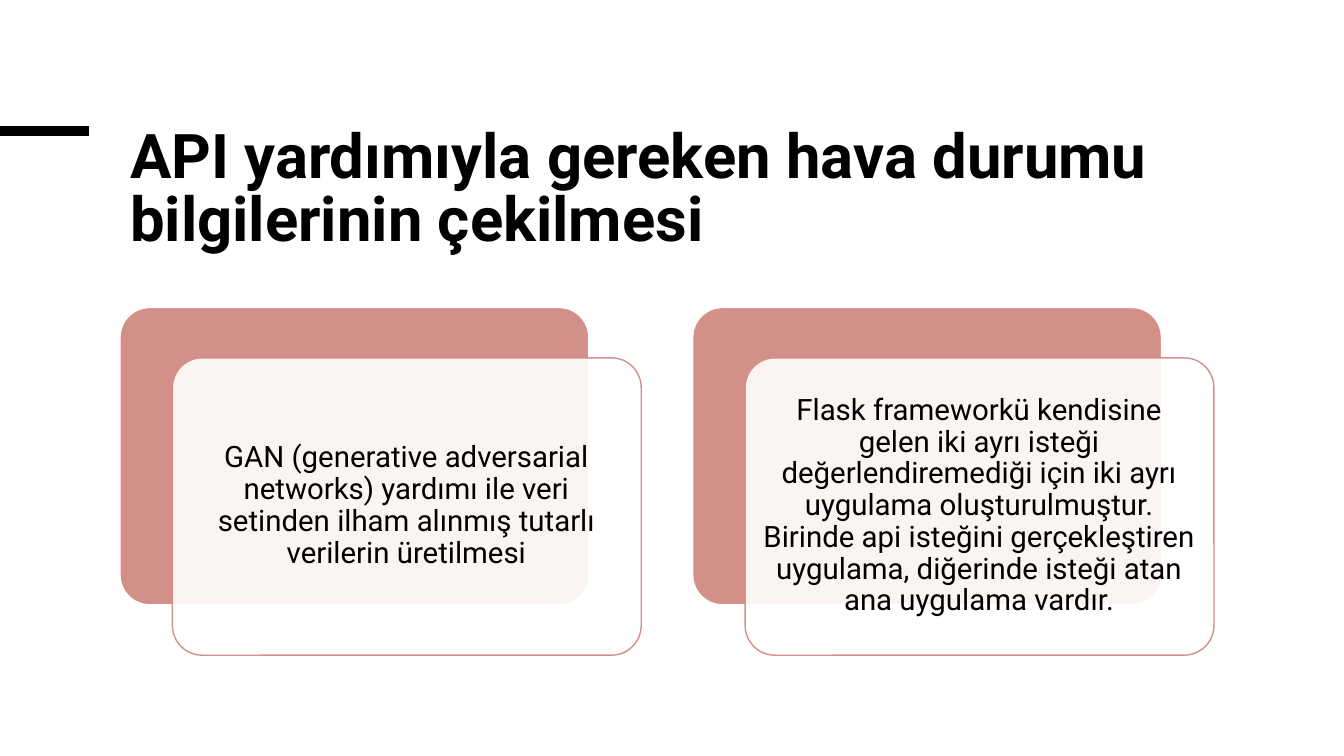
from lxml import etree
from pptx import Presentation
from pptx.dml.color import RGBColor
from pptx.enum.shapes import MSO_CONNECTOR, MSO_SHAPE
from pptx.enum.text import MSO_ANCHOR, MSO_AUTO_SIZE, PP_ALIGN
from pptx.oxml.ns import qn
from pptx.util import Inches, Pt

BLACK, WHITE, ROSE = "000000", "FFFFFF", "D39089"
CARD_WIDTH, CARD_HEIGHT = 4.65, 2.95
CARD_TOP = 3.05
CARD_TEXTS = {
    1.19: "GAN (generative adversarial networks) yardımı ile veri setinden ilham "
          "alınmış tutarlı verilerin üretilmesi",
    6.87: "Flask frameworkü kendisine gelen iki ayrı isteği değerlendiremediği için "
          "iki ayrı uygulama oluşturulmuştur. Birinde api isteğini gerçekleştiren "
          "uygulama, diğerinde isteği atan ana uygulama vardır.",
}


def style_text(para, size, spacing, bold=False):
    para.line_spacing = spacing
    font = para.runs[0].font
    font.name, font.size, font.bold = "Roboto", Pt(size), bold
    font.color.rgb = RGBColor.from_string(BLACK)


def add_card(left, top, fill, line):
    card = slide.shapes.add_shape(
        MSO_SHAPE.ROUNDED_RECTANGLE, Inches(left), Inches(top),
        Inches(CARD_WIDTH), Inches(CARD_HEIGHT))
    card.adjustments[0] = 0.1
    card.shadow.inherit = False
    card.fill.solid()
    card.fill.fore_color.rgb = RGBColor.from_string(fill)
    card.line.color.rgb = RGBColor.from_string(line)
    card.line.width = Pt(1)
    return card


deck = Presentation()
deck.slide_width, deck.slide_height = Inches(13.33), Inches(7.5)
slide = deck.slides.add_slide(deck.slide_layouts[5])

accent = slide.shapes.add_connector(
    MSO_CONNECTOR.STRAIGHT, Inches(0), Inches(1.3), Inches(0.88), Inches(1.3))
accent.line.color.rgb = RGBColor.from_string(BLACK)
accent.line.width = Pt(6.75)
etree.SubElement(accent._element.spPr, qn("a:effectLst"))

title = slide.shapes.title
title.left, title.top = Inches(1.19), Inches(1.19)
title.width, title.height = Inches(10.85), Inches(1.42)
title.text_frame.text = "API yardımıyla gereken hava durumu bilgilerinin çekilmesi"
title.text_frame.vertical_anchor = MSO_ANCHOR.MIDDLE
title.text_frame.auto_size = MSO_AUTO_SIZE.NONE
title_para = title.text_frame.paragraphs[0]
title_para.alignment = PP_ALIGN.LEFT
style_text(title_para, 44, 0.85, bold=True)

for left, text in CARD_TEXTS.items():
    add_card(left, CARD_TOP, ROSE, WHITE)
    front = add_card(left + 0.52, CARD_TOP + 0.5, WHITE, ROSE)
    color = front._element.spPr.find(qn("a:solidFill"))[0]
    etree.SubElement(color, qn("a:alpha"), val="90000")

    box = slide.shapes.add_textbox(
        Inches(left + 0.6), Inches(CARD_TOP + 0.58), Inches(4.48), Inches(2.78))
    frame = box.text_frame
    frame.word_wrap = True
    frame.vertical_anchor = MSO_ANCHOR.MIDDLE
    frame.margin_left = frame.margin_right = Inches(0.09)
    frame.margin_top = frame.margin_bottom = Inches(0.09)
    frame.text = text
    para = frame.paragraphs[0]
    para.alignment = PP_ALIGN.CENTER
    style_text(para, 21, 0.9)

deck.save("out.pptx")
